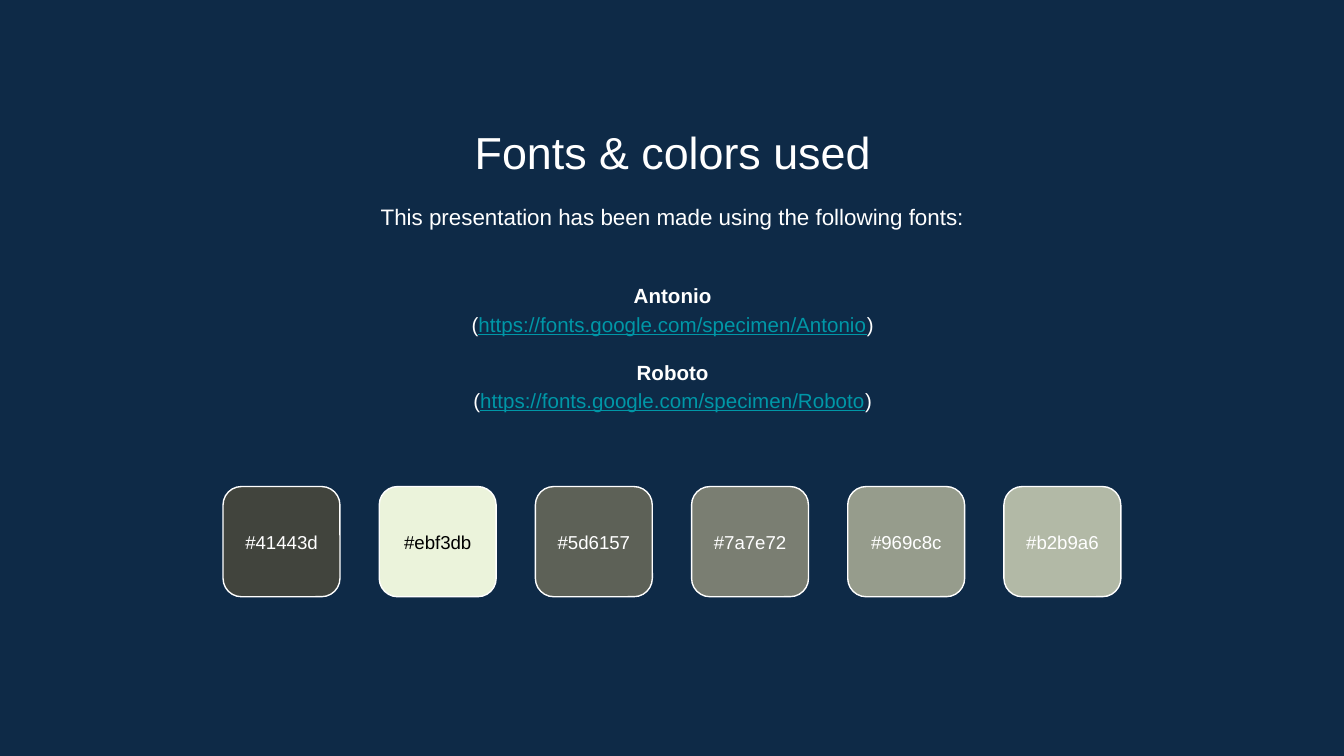
from pptx import Presentation
from pptx.dml.color import RGBColor
from pptx.enum.shapes import MSO_SHAPE as Shape
from pptx.enum.text import MSO_ANCHOR as Anchor, PP_ALIGN as Align
from pptx.util import Inches, Pt

NAVY = RGBColor(0x0E, 0x2A, 0x47)
WHITE = RGBColor(0xFF, 0xFF, 0xFF)
BLACK = RGBColor(0x00, 0x00, 0x00)
TEAL = RGBColor(0x00, 0x97, 0xA7)

FONT = "Arial"
TEXT_LEFT, TEXT_WIDTH = 1.15, 7.71
FONT_NAMES = ["Antonio", "Roboto"]

# Swatch colours and the colour of their labels
PALETTE = [
    ("#41443d", WHITE),
    ("#ebf3db", BLACK),
    ("#5d6157", WHITE),
    ("#7a7e72", WHITE),
    ("#969c8c", WHITE),
    ("#b2b9a6", WHITE),
]
SWATCH_LEFT, SWATCH_TOP, SWATCH_PITCH = 1.66, 3.62, 1.162
SWATCH_WIDTH, SWATCH_HEIGHT, LABEL_HEIGHT = 0.87, 0.82, 0.48


def add_text_frame(shapes, left, top, width, height, anchor=Anchor.TOP):
    box = shapes.add_textbox(Inches(left), Inches(top), Inches(width), Inches(height))
    frame = box.text_frame
    frame.word_wrap = True
    frame.vertical_anchor = anchor
    frame.margin_left = frame.margin_right = Inches(0.1)
    frame.margin_top = frame.margin_bottom = Inches(0.1)
    return frame


def add_run(paragraph, text, size, color=WHITE, bold=False, underline=False):
    run = paragraph.add_run()
    run.text = text
    font = run.font
    font.name, font.size = FONT, Pt(size)
    font.bold, font.underline = bold, underline
    font.color.rgb = color


def add_line(shapes, text, top, height, size, spacing=1.0):
    paragraph = add_text_frame(shapes, TEXT_LEFT, top, TEXT_WIDTH, height).paragraphs[0]
    paragraph.alignment = Align.CENTER
    paragraph.line_spacing = spacing
    add_run(paragraph, text, size)


def add_font_list(shapes):
    frame = add_text_frame(shapes, TEXT_LEFT, 1.89, TEXT_WIDTH, 1.37, Anchor.MIDDLE)
    for index, name in enumerate(FONT_NAMES):
        heading = frame.add_paragraph() if index else frame.paragraphs[0]
        if index:
            heading.space_before = Pt(10.5)
        address = frame.add_paragraph()
        for paragraph in (heading, address):
            paragraph.alignment = Align.CENTER
            paragraph.line_spacing = 1.15
        add_run(heading, name, 11, bold=True)
        add_run(address, "(", 11)
        add_run(address, f"https://fonts.google.com/specimen/{name}", 11, TEAL, underline=True)
        add_run(address, ")", 11)


def add_swatch(shapes, left, code, label_color):
    swatch = shapes.add_shape(Shape.ROUNDED_RECTANGLE, Inches(left), Inches(SWATCH_TOP),
                              Inches(SWATCH_WIDTH), Inches(SWATCH_HEIGHT))
    swatch.shadow.inherit = False
    swatch.fill.solid()
    swatch.fill.fore_color.rgb = RGBColor.from_string(code[1:].upper())
    swatch.line.color.rgb = WHITE
    swatch.line.width = Pt(0.75)

    # Label centred on the swatch
    label_top = SWATCH_TOP + (SWATCH_HEIGHT - LABEL_HEIGHT) / 2
    frame = add_text_frame(shapes, left, label_top, SWATCH_WIDTH, LABEL_HEIGHT, Anchor.MIDDLE)
    label = frame.paragraphs[0]
    label.alignment = Align.CENTER
    add_run(label, code, 10, label_color)


def main():
    deck = Presentation()
    deck.slide_width, deck.slide_height = Inches(10), Inches(5.625)
    slide = deck.slides.add_slide(deck.slide_layouts[6])
    slide.background.fill.solid()
    slide.background.fill.fore_color.rgb = NAVY

    # Title, introduction and fonts
    add_line(slide.shapes, "Fonts & colors used", 0.83, 0.53, 24)
    add_line(slide.shapes, "This presentation has been made using the following fonts:",
             1.38, 0.48, 12, spacing=1.15)
    add_font_list(slide.shapes)

    # Row of colour swatches
    swatches = slide.shapes.add_group_shape().shapes
    for column, (code, label_color) in enumerate(PALETTE):
        add_swatch(swatches, SWATCH_LEFT + column * SWATCH_PITCH, code, label_color)

    deck.save("out.pptx")


if __name__ == "__main__":
    main()
